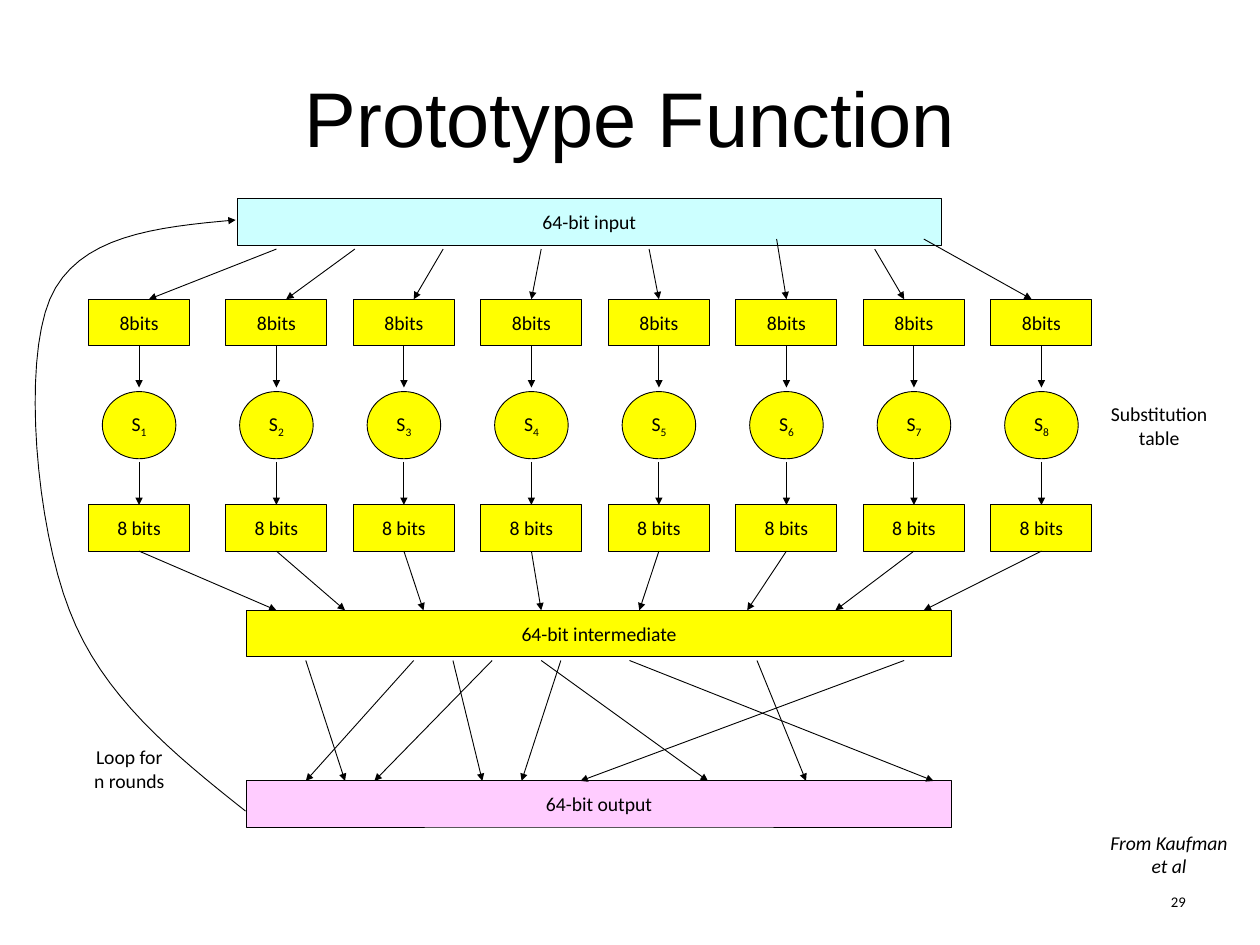
import pptx
import pptx.dml.color
import pptx.enum.shapes
import pptx.enum.text
import pptx.oxml.ns
import pptx.util
import lxml.etree

BLACK = pptx.dml.color.RGBColor(0x00, 0x00, 0x00)
YELLOW = pptx.dml.color.RGBColor(0xFF, 0xFF, 0x00)
CYAN = pptx.dml.color.RGBColor(0xCC, 0xFF, 0xFF)
PINK = pptx.dml.color.RGBColor(0xFF, 0xCC, 0xFF)

WIDTH = pptx.util.Inches(14.22)
HEIGHT = pptx.util.Inches(10.67)
COLUMN = WIDTH / 128.46
ROW = HEIGHT / 94.17
SHIFT = 0.18

RECTANGLE = pptx.enum.shapes.MSO_SHAPE.RECTANGLE
OVAL = pptx.enum.shapes.MSO_SHAPE.OVAL
ALIGN = pptx.enum.text.PP_ALIGN
MIDDLE = pptx.enum.text.MSO_ANCHOR.MIDDLE
TOP_SIDE, BOTTOM_SIDE = 0, 2

BAR_WIDTH, BOX_WIDTH, BOX_HEIGHT = 71.8, 10.3, 4.6
INPUT_TOP, UPPER_TOP, CIRCLE_TOP, LOWER_TOP = 20, 30, 39.2, 50.5
MIDDLE_TOP, OUTPUT_TOP = 61, 78

LANES = [14] + [28 + 13 * step for step in range(7)]
INPUT_FAN = [(28, 15), (36, 29), (45, 42), (55, 54),
             (66, 67), (79, 80), (89, 92), (94, 105)]
LOW_STARTS = (79, 94)
MERGE_ENDS = [28, 35, 43, 55, 65, 76, 85, 94]
PERMUTATION = [(31, 35), (42, 31), (50, 38), (46, 49), (57, 53),
               (55, 72), (64, 95), (92, 59), (77, 82)]
LOOP_START = (24.85, 81)
LOOP_CURVES = [((17.5, 75.3), (10.2, 69.5), (6.9, 61)),
               ((3.5, 52.5), (2.1, 36.5), (4.9, 30)),
               ((7.7, 23.6), (15.8, 22.8), (23.85, 22.1))]


def at(column, row):
    return round((column + SHIFT) * COLUMN), round((row - SHIFT) * ROW)


def size(columns, rows):
    return round(columns * COLUMN), round(rows * ROW)


def style_text(frame, points, font="Calibri", align=ALIGN.CENTER, italic=None):
    for para in frame.paragraphs:
        para.alignment = align
        for span in para.runs:
            span.font.size = pptx.util.Pt(points)
            span.font.name = font
            span.font.italic = italic
            span.font.color.rgb = BLACK


def style_line(item):
    item.line.color.rgb = BLACK
    item.line.width = pptx.util.Pt(0.75)


def add_arrowhead(item):
    outline = item.line._get_or_add_ln()
    head = lxml.etree.SubElement(outline, pptx.oxml.ns.qn("a:tailEnd"))
    head.set("type", "triangle")


def add_block(page, kind, column, row, columns, rows, fill, text):
    block = page.shapes.add_shape(kind, *at(column, row), *size(columns, rows))
    block.shadow.inherit = False
    block.fill.solid()
    block.fill.fore_color.rgb = fill
    style_line(block)
    frame = block.text_frame
    frame.word_wrap = False
    frame.vertical_anchor = MIDDLE
    frame.text = text
    style_text(frame, 16)
    return block


def add_box(page, lane, row, text):
    return add_block(page, RECTANGLE, lane - BOX_WIDTH / 2, row,
                     BOX_WIDTH, BOX_HEIGHT, YELLOW, text)


def add_bar(page, column, row, fill, text):
    add_block(page, RECTANGLE, column, row, BAR_WIDTH, BOX_HEIGHT, fill, text)


def add_circle(page, lane, number):
    circle = add_block(page, OVAL, lane - 3.75, CIRCLE_TOP, 7.5, 6.7, YELLOW, "S")
    span = circle.text_frame.paragraphs[0].add_run()
    span.text = str(number)
    style_text(circle.text_frame, 16)
    span.font._element.set("baseline", "-25000")


def add_arrow(page, start, end, source=None, target=None):
    arrow = page.shapes.add_connector(
        pptx.enum.shapes.MSO_CONNECTOR.STRAIGHT, *at(*start), *at(*end))
    style_line(arrow)
    add_arrowhead(arrow)
    lxml.etree.SubElement(arrow._element.spPr, pptx.oxml.ns.qn("a:effectLst"))
    if source is not None:
        arrow.begin_connect(source, BOTTOM_SIDE)
    if target is not None:
        arrow.end_connect(target, TOP_SIDE)


def add_lane(page, number, lane, fan, merge_end):
    upper = add_box(page, lane, UPPER_TOP, "8bits")
    add_circle(page, lane, number)
    lower = add_box(page, lane, LOWER_TOP, "8 bits")
    start, end = fan
    start_row = 24 if start in LOW_STARTS else 25
    add_arrow(page, (start, start_row), (end, UPPER_TOP),
              target=upper if end == lane else None)
    add_arrow(page, (lane, UPPER_TOP + BOX_HEIGHT), (lane, 38.8), source=upper)
    add_arrow(page, (lane, 46.2), (lane, LOWER_TOP), target=lower)
    add_arrow(page, (lane, LOWER_TOP + BOX_HEIGHT), (merge_end, MIDDLE_TOP),
              source=lower)


def curve_points(start, curves, steps=16):
    for first, second, end in curves:
        for step in range(1, steps + 1):
            t = step / steps
            u = 1 - t
            yield at(*(u ** 3 * a + 3 * u * u * t * b + 3 * u * t * t * c + t ** 3 * d
                       for a, b, c, d in zip(start, first, second, end)))
        start = end


def add_loop(page):
    builder = page.shapes.build_freeform(*at(*LOOP_START))
    builder.add_line_segments(list(curve_points(LOOP_START, LOOP_CURVES)), close=False)
    loop = builder.convert_to_shape()
    loop.shadow.inherit = False
    loop.fill.background()
    style_line(loop)
    add_arrowhead(loop)


def add_label(page, column, row, columns, rows, text, points=16,
              align=ALIGN.CENTER, italic=None):
    label = page.shapes.add_textbox(*at(column, row), *size(columns, rows))
    frame = label.text_frame
    frame.word_wrap = True
    frame.text = text
    style_text(frame, points, align=align, italic=italic)
    return frame


def set_title(page, text):
    title = page.shapes.title
    title.left, title.top = round(WIDTH * 0.05), round(HEIGHT * 0.04)
    title.width, title.height = round(WIDTH * 0.9), round(HEIGHT / 6)
    frame = title.text_frame
    frame.auto_size = pptx.enum.text.MSO_AUTO_SIZE.NONE
    frame.vertical_anchor = MIDDLE
    frame.text = text
    style_text(frame, 63, "Arial")


def main():
    deck = pptx.Presentation()
    deck.slide_width, deck.slide_height = WIDTH, HEIGHT
    page = deck.slides.add_slide(deck.slide_layouts.get_by_name("Title Only"))
    set_title(page, "Prototype Function")

    add_bar(page, 24, INPUT_TOP, CYAN, "64-bit input")
    add_bar(page, 25, MIDDLE_TOP, YELLOW, "64-bit intermediate")
    add_bar(page, 25, OUTPUT_TOP, PINK, "64-bit output")
    for number, lane in enumerate(zip(LANES, INPUT_FAN, MERGE_ENDS), 1):
        add_lane(page, number, *lane)
    for start, end in PERMUTATION:
        add_arrow(page, (start, 66), (end, OUTPUT_TOP))
    add_loop(page)

    add_label(page, 5, 74, 16, 6.4, "Loop for\vn rounds")
    add_label(page, 110, 39.8, 16, 6.4, "Substitution table")
    add_label(page, 111, 82.5, 16, 5.6, "From Kaufman\net al", italic=True)
    number = add_label(page, 92, 87.5, 30, 5, "29", 12, ALIGN.RIGHT)
    number.vertical_anchor = MIDDLE
    number.margin_right = round(WIDTH / 100)
    deck.save("out.pptx")


if __name__ == "__main__":
    main()
